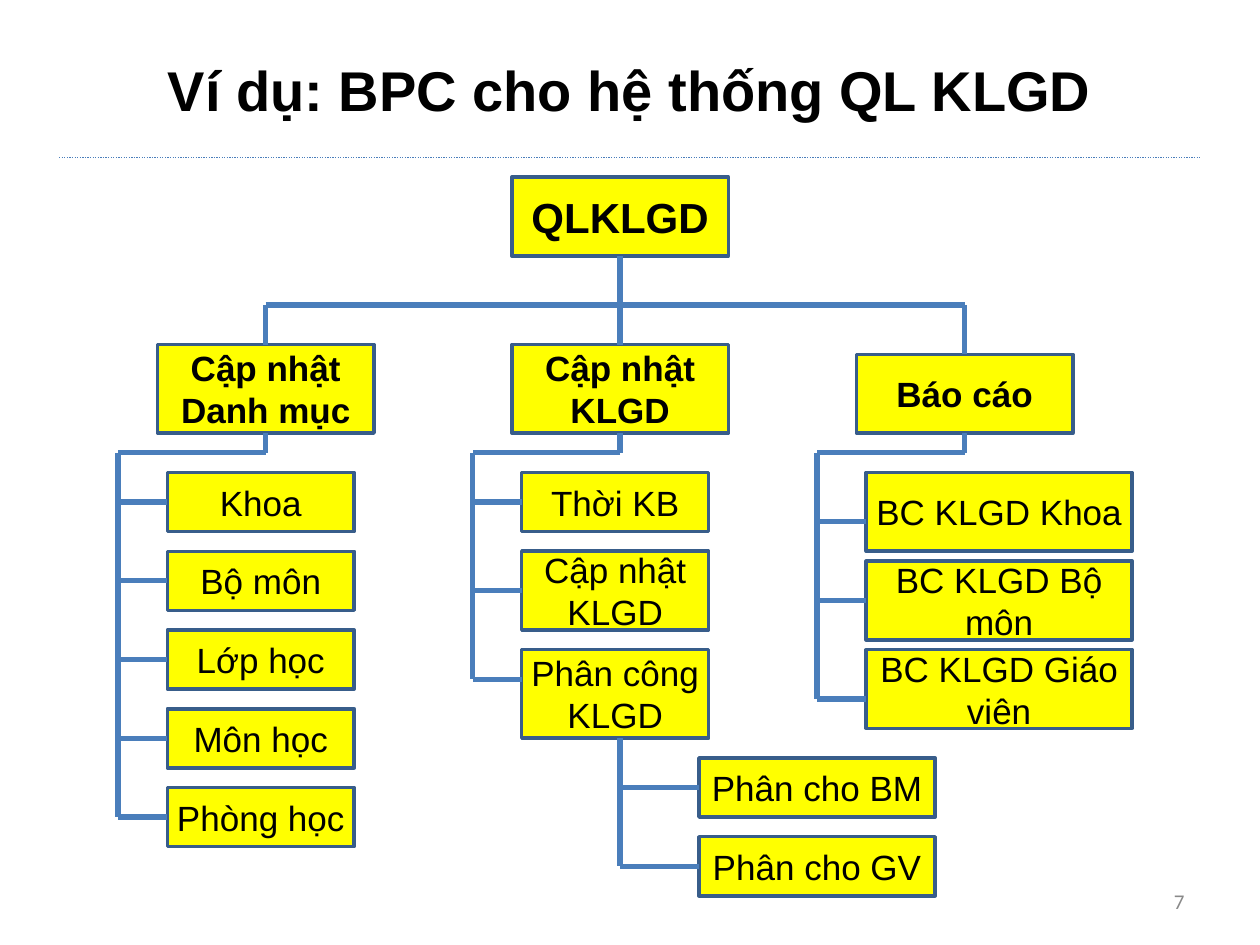
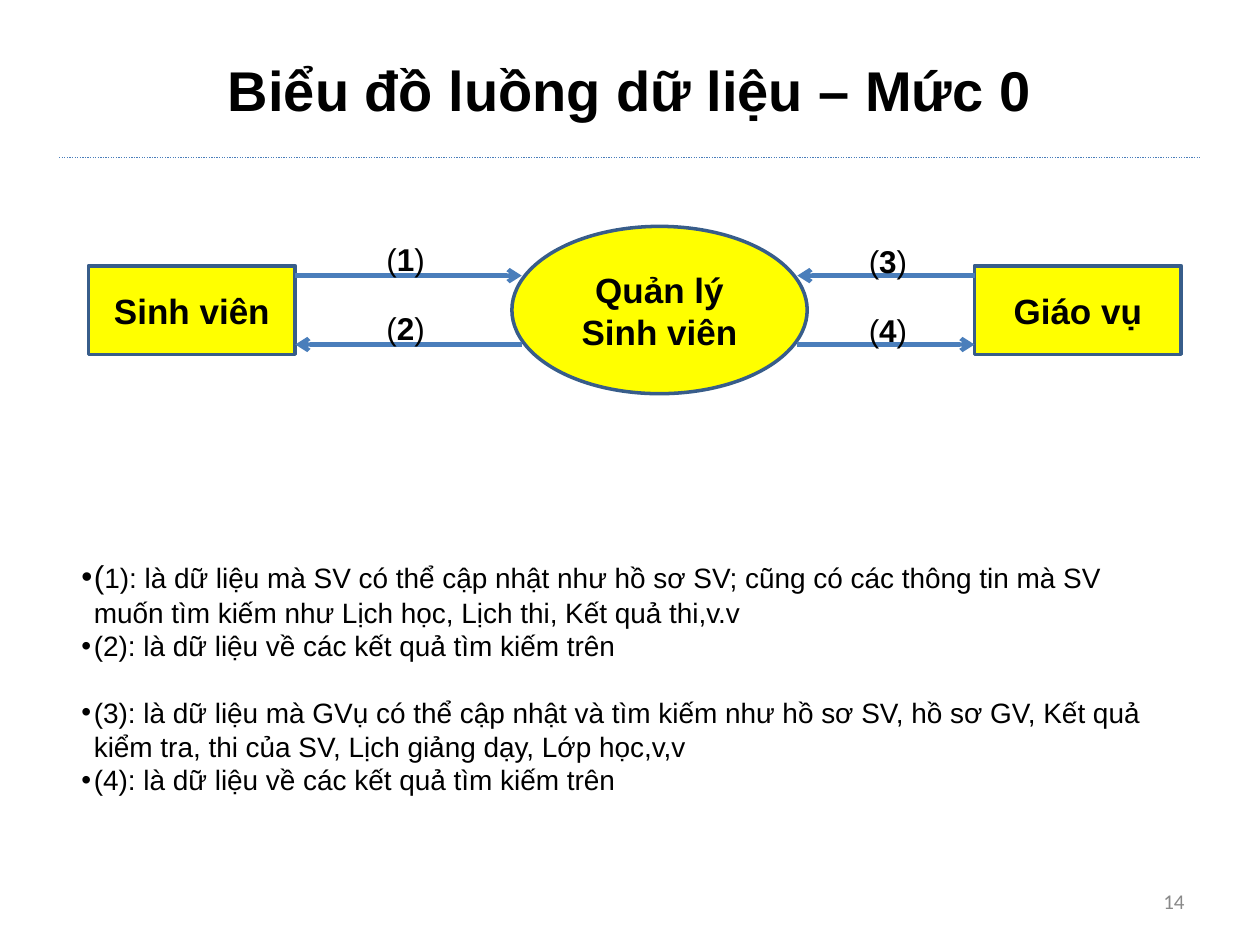
import dataclasses

import pptx
import pptx.dml.color
import pptx.enum.dml
import pptx.enum.shapes
import pptx.enum.text
import pptx.oxml
import pptx.oxml.ns
import pptx.util

SHAPES = pptx.enum.shapes.MSO_SHAPE
ALIGN = pptx.enum.text.PP_ALIGN
ANCHOR = pptx.enum.text.MSO_ANCHOR


@dataclasses.dataclass(frozen=True)
class Theme:
    width: float = 10
    height: float = 7.5
    columns: int = 128
    ink: str = "000000"
    node_fill: str = "FFFF00"
    node_line: str = "385D8A"
    link: str = "4A7EBB"
    muted: str = "898989"
    font: str = "Arial"
    number_font: str = "Calibri"
    title_size: int = 32
    root_size: int = 24
    node_size: int = 20
    label_size: int = 18
    note_size: int = 16
    number_size: int = 12
    node_weight: float = 2
    tree_weight: float = 3
    flow_weight: float = 2.5
    rule_weight: float = 0.75


THEME = Theme()
HEAD_WIDTH, HEAD_BOTTOM = 22, 44
TRUNK_TO_RAIL, RAIL_TO_LEAF = 15, 5
FORK_ROW, ELBOW_ROW, LEAF_ROW = 31, 46, 48


def cells(count):
    return pptx.util.Inches(count * THEME.width / THEME.columns)


def rgb(code):
    return pptx.dml.color.RGBColor.from_string(code)


def add_xml(parent, tag, **attributes):
    child = pptx.oxml.parse_xml(f"<a:{tag} {pptx.oxml.ns.nsdecls('a')}/>")
    for name, value in attributes.items():
        child.set(name, value)
    parent.append(child)
    return child


def add_bullet(para):
    properties = para._p.get_or_add_pPr()
    indent = pptx.util.Inches(0.1)
    properties.set("marL", str(indent))
    properties.set("indent", str(-indent))
    colour = add_xml(properties, "buClr")
    add_xml(colour, "srgbClr", val=THEME.ink)
    add_xml(properties, "buFont", typeface=THEME.font)
    add_xml(properties, "buChar", char="•")


def write(para, text, size=THEME.node_size, bold=False, colour=THEME.ink,
          font=THEME.font, align=ALIGN.LEFT, bullet=False, before=0):
    if bullet:
        add_bullet(para)
    para.alignment = align
    para.space_before = pptx.util.Pt(before)
    spans = [(text, {})] if isinstance(text, str) else text
    for words, changes in spans:
        span = para.add_run()
        span.text = words
        span.font.name = font
        span.font.size = pptx.util.Pt(changes.get("size", size))
        span.font.bold = changes.get("bold", bold)
        span.font.color.rgb = rgb(colour)


def add_text(page, place, text, anchor=ANCHOR.TOP, **style):
    box = page.shapes.add_textbox(*map(cells, place))
    box.text_frame.word_wrap = True
    box.text_frame.vertical_anchor = anchor
    write(box.text_frame.paragraphs[0], text, **style)
    return box


def add_node(page, place, text, shape=SHAPES.RECTANGLE, inset=0, **style):
    box = page.shapes.add_shape(shape, *map(cells, place))
    box.shadow.inherit = False
    box.fill.solid()
    box.fill.fore_color.rgb = rgb(THEME.node_fill)
    box.line.color.rgb = rgb(THEME.node_line)
    box.line.width = pptx.util.Pt(THEME.node_weight)
    frame = box.text_frame
    frame.word_wrap = True
    frame.vertical_anchor = ANCHOR.MIDDLE
    frame.margin_left = frame.margin_right = pptx.util.Inches(inset)
    frame.margin_top = frame.margin_bottom = pptx.util.Inches(inset / 2)
    write(frame.paragraphs[0], text, align=ALIGN.CENTER, **style)


def add_line(page, start, end, weight=THEME.tree_weight, arrow=False, dotted=False):
    line = page.shapes.add_connector(
        pptx.enum.shapes.MSO_CONNECTOR.STRAIGHT, *map(cells, (*start, *end)))
    line.line.color.rgb = rgb(THEME.link)
    line.line.width = pptx.util.Pt(weight)
    if dotted:
        line.line.dash_style = pptx.enum.dml.MSO_LINE.ROUND_DOT
    if arrow:
        add_xml(line.line._get_or_add_ln(), "tailEnd", type="arrow")
    add_xml(line._element.spPr, "effectLst")


def add_page(deck, title, number):
    page = deck.slides.add_slide(deck.slide_layouts[6])
    add_line(page, (6, 16), (122, 16), weight=THEME.rule_weight, dotted=True)
    add_text(page, (6.4, 3, 115.2, 12.2), title, anchor=ANCHOR.MIDDLE,
             size=THEME.title_size, bold=True, align=ALIGN.CENTER)
    add_text(page, (91.8, 89, 29.8, 5.1), str(number), anchor=ANCHOR.MIDDLE,
             size=THEME.number_size, colour=THEME.muted,
             font=THEME.number_font, align=ALIGN.RIGHT)
    return page


def add_leaves(page, rail, left, width, top, leaves):
    for text, row, height, joint in leaves:
        add_node(page, (left, row, width, height), text)
        add_line(page, (left, joint), (rail, joint))
    add_line(page, (rail, top), (rail, leaves[-1][-1]))


def add_branch(page, trunk, title, head_row, leaf_width, leaves):
    rail = trunk - TRUNK_TO_RAIL
    place = (trunk - HEAD_WIDTH / 2, head_row, HEAD_WIDTH, HEAD_BOTTOM - head_row)
    add_node(page, place, title, bold=True)
    add_line(page, (trunk, FORK_ROW), (trunk, head_row))
    add_line(page, (trunk, HEAD_BOTTOM), (trunk, ELBOW_ROW))
    add_line(page, (trunk, ELBOW_ROW), (rail, ELBOW_ROW))
    add_leaves(page, rail, rail + RAIL_TO_LEAF, leaf_width, ELBOW_ROW, leaves)


def build_function_tree(deck):
    page = add_page(deck, "Ví dụ: BPC cho hệ thống QL KLGD", 7)
    left, middle, right = 27, 63, 98
    add_node(page, (middle - HEAD_WIDTH / 2, 18, HEAD_WIDTH, 8), "QLKLGD",
             size=THEME.root_size, bold=True)
    add_line(page, (left, FORK_ROW), (right, FORK_ROW))
    add_line(page, (middle, 26), (middle, FORK_ROW))
    catalogues = ("Khoa", "Bộ môn", "Lớp học", "Môn học", "Phòng học")
    add_branch(page, left, "Cập nhật Danh mục", 35, 19, [
        (text, LEAF_ROW + 8 * index, 6, LEAF_ROW + 8 * index + 3)
        for index, text in enumerate(catalogues)])
    add_branch(page, middle, "Cập nhật KLGD", 35, 19, [
        ("Thời KB", 48, 6, 51),
        ("Cập nhật KLGD", 56, 8, 60),
        ("Phân công KLGD", 66, 9, 69)])
    add_branch(page, right, "Báo cáo", 36, 27, [
        ("BC KLGD Khoa", 48, 8, 53),
        ("BC KLGD Bộ môn", 57, 8, 61),
        ("BC KLGD Giáo viên", 66, 8, 71)])
    add_leaves(page, middle, 71, 24, 75, [
        ("Phân cho BM", 77, 6, 80),
        ("Phân cho GV", 85, 6, 88)])


def build_data_flow(deck):
    page = add_page(deck, "Biểu đồ luồng dữ liệu – Mức 0", 14)
    for place, text, shape in (
            ((9, 27, 21, 9), "Sinh viên", SHAPES.RECTANGLE),
            ((52, 23, 30, 17), "Quản lý Sinh viên", SHAPES.OVAL),
            ((99, 27, 21, 9), "Giáo vụ", SHAPES.RECTANGLE)):
        add_node(page, place, text, shape=shape, inset=0.1, bold=True)
    flows = (
        ("1", 30, 53, 28, 38, 23.8),
        ("2", 53, 30, 35, 38, 30.8),
        ("3", 99, 81, 28, 87, 24),
        ("4", 81, 99, 35, 87, 31))
    for number, start, end, row, label_left, label_top in flows:
        add_line(page, (start, row), (end, row), weight=THEME.flow_weight, arrow=True)
        add_text(page, (label_left, label_top, 8, 5.1),
                 [("(", {}), (number, {"bold": True}), (")", {})],
                 size=THEME.label_size)
    notes = (
        ([("(", {"size": THEME.label_size}),
          ("1): là dữ liệu mà SV có thể cập nhật như hồ sơ SV; cũng có các thông tin "
           "mà SV muốn tìm kiếm như Lịch học, Lịch thi, Kết quả thi,v.v", {})], 0),
        ("(2): là dữ liệu về các kết quả tìm kiếm trên", 0),
        ("(3): là dữ liệu mà GVụ có thể cập nhật và tìm kiếm như hồ sơ SV, hồ sơ GV, "
         "Kết quả kiểm tra, thi của SV, Lịch giảng dạy, Lớp học,v,v", 19),
        ("(4): là dữ liệu về các kết quả tìm kiếm trên", 0))
    style = {"size": THEME.note_size, "bullet": True}
    box = add_text(page, (7, 56, 114, 25.6), notes[0][0], **style)
    for text, before in notes[1:]:
        write(box.text_frame.add_paragraph(), text, before=before, **style)


def main():
    deck = pptx.Presentation()
    deck.slide_width = pptx.util.Inches(THEME.width)
    deck.slide_height = pptx.util.Inches(THEME.height)
    build_function_tree(deck)
    build_data_flow(deck)
    deck.save("out.pptx")


if __name__ == "__main__":
    main()
